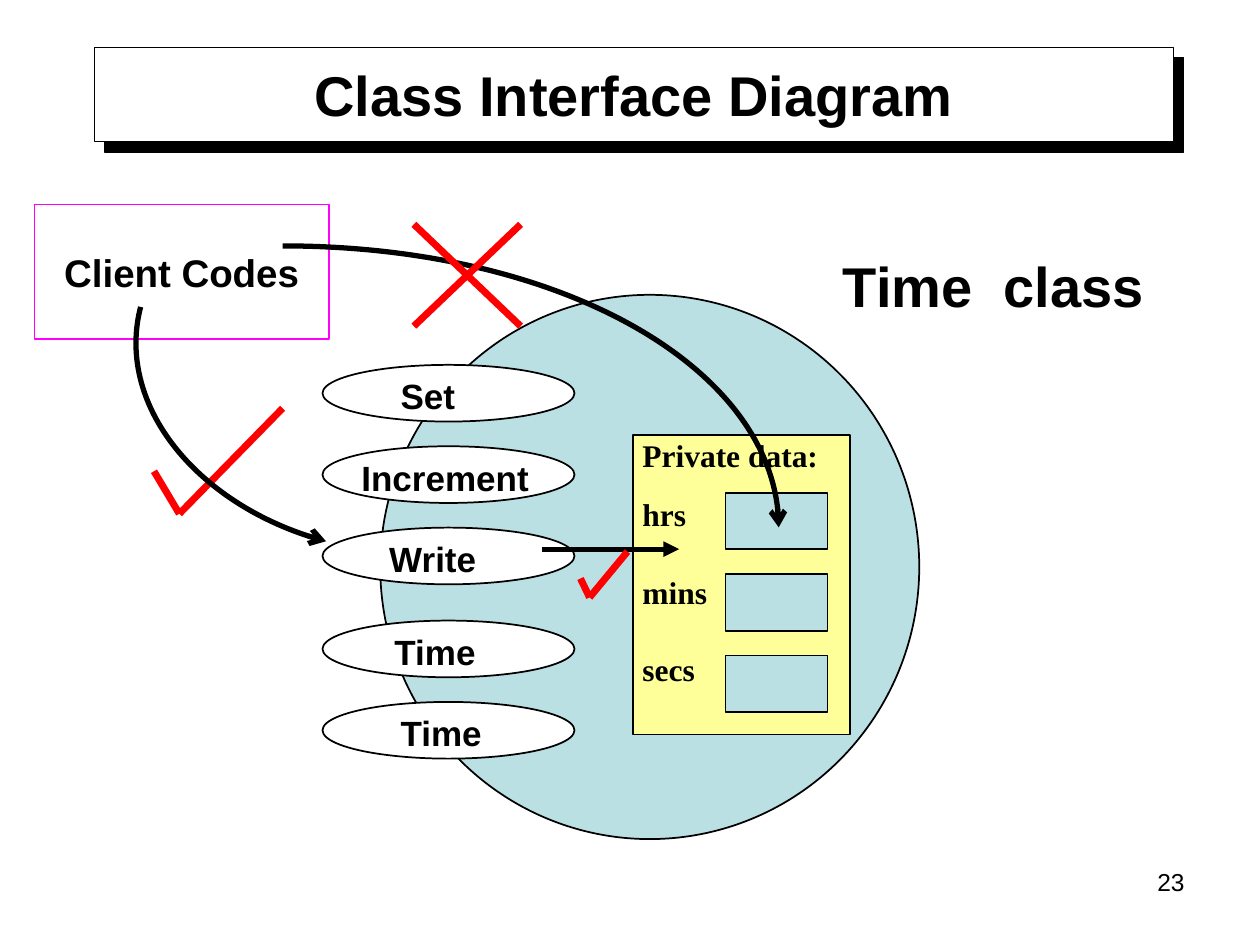
"""Build the class interface diagram slide for the Time class."""
from lxml.etree import SubElement
from pptx import Presentation
from pptx.dml.color import RGBColor
from pptx.enum.shapes import MSO_CONNECTOR, MSO_SHAPE
from pptx.enum.text import MSO_ANCHOR, PP_ALIGN
from pptx.oxml.ns import qn
from pptx.util import Pt

BLACK = RGBColor(0, 0, 0)
WHITE = RGBColor(255, 255, 255)
RED = RGBColor(255, 0, 0)
MAGENTA = RGBColor(255, 0, 255)
TEAL = RGBColor(0xBB, 0xE0, 0xE3)
YELLOW = RGBColor(255, 255, 0x99)


class DiagramSlide:
    """Hold the drawing style and the slide being drawn."""

    sans = "Arial"
    serif = "Times New Roman"

    def __init__(self, presentation):
        self.slide = presentation.slides.add_slide(presentation.slide_layouts[5])
        self.shapes = self.slide.shapes

    def format_text(self, shape, size, font=None, bold=True, align=PP_ALIGN.LEFT):
        for paragraph in shape.text_frame.paragraphs:
            paragraph.alignment = align
            for run in paragraph.runs:
                run.font.name = font or self.sans
                run.font.size = Pt(size)
                run.font.bold = bold
                run.font.color.rgb = BLACK

    def title(self, text, *box):
        shape = self.shapes.title
        shape.left, shape.top, shape.width, shape.height = map(Pt, box)
        shape.text_frame.text = text
        shape.text_frame.vertical_anchor = MSO_ANCHOR.MIDDLE
        self.format_text(shape, 32, align=PP_ALIGN.CENTER)
        self.shapes.element.append(shape.element)

    def shape(self, kind, *box, fill=None, line=BLACK, weight=1):
        shape = self.shapes.add_shape(kind, *map(Pt, box))
        shape.shadow.inherit = False
        if fill is None:
            shape.fill.background()
        else:
            shape.fill.solid()
            shape.fill.fore_color.rgb = fill
        shape.line.color.rgb = line
        shape.line.width = Pt(weight)
        return shape

    def drop_shadow(self, shape, distance):
        effects = shape.element.spPr.find(qn("a:effectLst"))
        shadow = SubElement(effects, qn("a:outerShdw"), dist=str(Pt(distance)),
                            dir="2700000", algn="ctr", rotWithShape="0")
        SubElement(shadow, qn("a:srgbClr"), val=str(BLACK))

    def text(self, text, *box, size=20, **style):
        shape = self.shapes.add_textbox(*map(Pt, box))
        shape.text_frame.text = text
        shape.text_frame.word_wrap = False
        self.format_text(shape, size, **style)
        return shape

    def arrowhead(self, shape, kind):
        SubElement(shape.line._get_or_add_ln(), qn("a:tailEnd"), type=kind)

    def lines(self, *points, color=RED, weight=4, head=None):
        for start, end in zip(points, points[1:]):
            connector = self.shapes.add_connector(
                MSO_CONNECTOR.STRAIGHT, *map(Pt, start + end))
            connector.line.color.rgb = color
            connector.line.width = Pt(weight)
            SubElement(connector.element.spPr, qn("a:effectLst"))
            if head:
                self.arrowhead(connector, head)

    def curve(self, start, *controls):
        builder = self.shapes.build_freeform(*map(Pt, start))
        builder.add_line_segments([tuple(map(Pt, point)) for point in controls], close=False)
        shape = builder.convert_to_shape()
        outline = shape.element.spPr.find(".//" + qn("a:path"))
        bezier = SubElement(outline, qn("a:cubicBezTo"))
        for segment in outline.findall(qn("a:lnTo")):
            bezier.append(segment[0])
            outline.remove(segment)
        shape.shadow.inherit = False
        shape.fill.background()
        shape.line.color.rgb = BLACK
        shape.line.width = Pt(3)
        self.arrowhead(shape, "arrow")


def main():
    presentation = Presentation()
    presentation.slide_width, presentation.slide_height = Pt(720), Pt(540)
    diagram = DiagramSlide(presentation)

    banner = diagram.shape(MSO_SHAPE.RECTANGLE, 54, 27, 616.5, 54, fill=WHITE, weight=0.75)
    diagram.drop_shadow(banner, 8.5)
    diagram.text("23", 516, 492, 168, 37.5, size=14, bold=False, align=PP_ALIGN.RIGHT)

    diagram.shape(MSO_SHAPE.OVAL, 217.3, 168.5, 308, 311, fill=TEAL)
    methods = [("Set", 208.5, 221.8, 46), ("Increment", 255, 199.4, 110),
               ("Write", 301.5, 215.3, 65), ("Time", 354.6, 218.3, 61),
               ("Time", 401.1, 221.8, 61)]
    for name, top, text_left, text_width in methods:
        diagram.shape(MSO_SHAPE.OVAL, 184.3, top, 144, 32.4, fill=WHITE)
        diagram.text(name, text_left, top + 2.2, text_width, 31)

    diagram.shape(MSO_SHAPE.RECTANGLE, 361.8, 248.4, 124, 171.4, fill=YELLOW)
    members = diagram.text("Private data:\nhrs\nmins\nsecs", 360, 245.5, 115, 149,
                           size=18, font=diagram.serif)
    for paragraph, gap in zip(members.text_frame.paragraphs, (0, 12.4, 22.7, 22.7)):
        paragraph.space_before = Pt(gap)
    for row in range(3):
        diagram.shape(MSO_SHAPE.RECTANGLE, 414.5, 281.5 + 46.5 * row, 58.3, 32.4, fill=TEAL)

    diagram.text("Time  class", 474.5, 140.4, 187, 45.4, size=32)
    diagram.title("Class Interface Diagram", 54, 27, 616.5, 54)

    client = diagram.shape(MSO_SHAPE.RECTANGLE, 19.6, 116.8, 168.5, 77,
                           line=MAGENTA, weight=0.75)
    client.text_frame.text = "Client Codes"
    client.text_frame.word_wrap = False
    client.text_frame.vertical_anchor = MSO_ANCHOR.MIDDLE
    diagram.format_text(client, 22, align=PP_ALIGN.CENTER)

    diagram.curve((161.5, 140.5), (318.2, 140.5), (445, 212.4), (445, 301.3))
    diagram.lines((236.5, 128.2), (297.5, 186.4))
    diagram.lines((297.5, 128.2), (236.5, 186.4))
    diagram.lines((88, 269.3), (102.5, 293.6), (161.5, 233.3))
    diagram.curve((80.4, 175.4), (66.2, 229.7), (113.8, 290.2), (186.3, 309.3))
    diagram.lines((309.6, 313.8), (388.1, 313.8), color=BLACK, weight=3, head="triangle")
    diagram.lines((331.7, 330.6), (336.9, 341.4), (358.6, 315.2))

    presentation.save("out.pptx")


if __name__ == "__main__":
    main()
